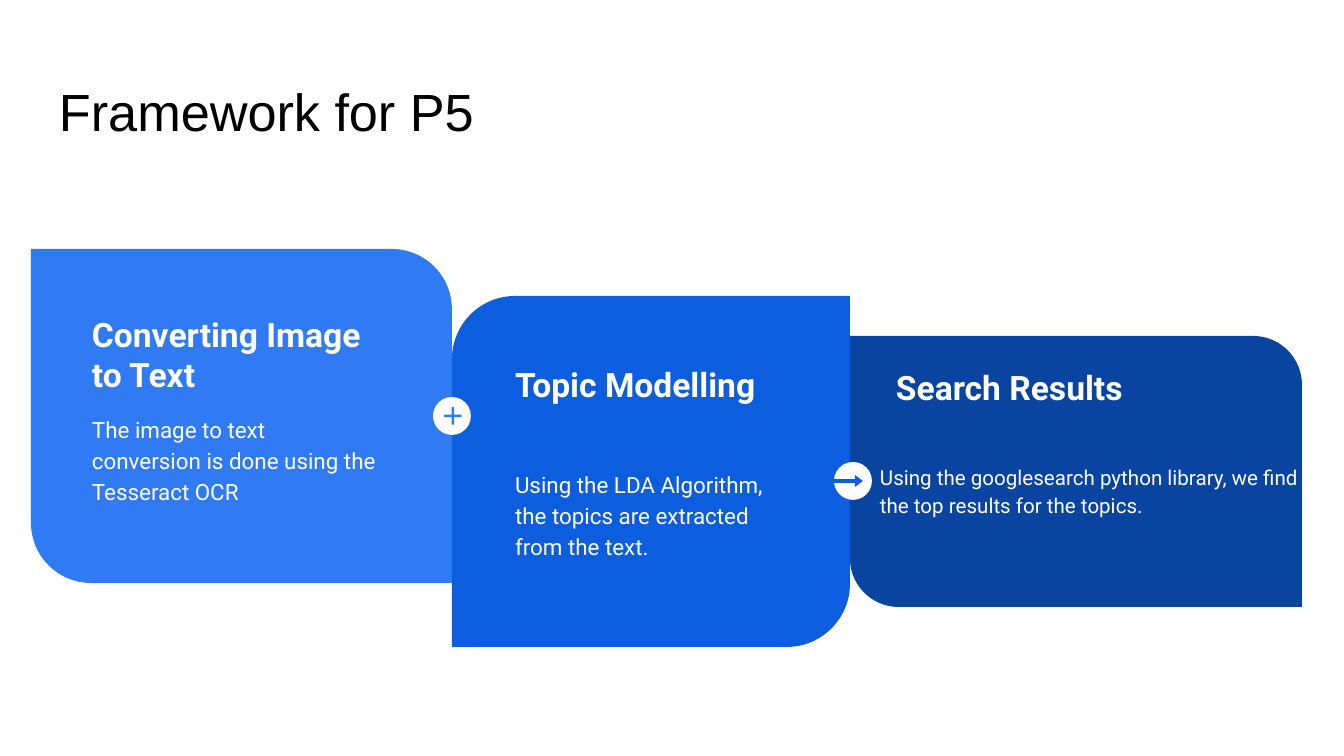
from pptx import Presentation
from pptx.dml.color import RGBColor
from pptx.enum.shapes import MSO_SHAPE
from pptx.util import Pt

CARD = MSO_SHAPE.ROUND_2_DIAG_RECTANGLE
CIRCLE = MSO_SHAPE.OVAL
PLUS = MSO_SHAPE.MATH_PLUS
ARROW = MSO_SHAPE.RIGHT_ARROW
PX = 914400 / 134.4
WHITE = "FFFFFF"
LIGHT_BLUE = "307BF3"
MID_BLUE = "0D5DDF"
DARK_BLUE = "0944A1"

deck = Presentation()
deck.slide_width, deck.slide_height = round(1344 * PX), round(756 * PX)
slide = deck.slides.add_slide(deck.slide_layouts[6])


def add_filled(kind, box, color, adjustments=()):
    shape = slide.shapes.add_shape(kind, *[round(v * PX) for v in box])
    shape.shadow.inherit = False
    shape.fill.solid()
    shape.fill.fore_color.rgb = RGBColor.from_string(color)
    shape.line.fill.background()
    for index, value in enumerate(adjustments):
        shape.adjustments[index] = value


def add_text(text, box, size, color=WHITE, font="Roboto", bold=False, spacing=1.0, after=0):
    frame = slide.shapes.add_textbox(*[round(v * PX) for v in box]).text_frame
    frame.word_wrap = True
    frame.margin_left = frame.margin_right = round(13 * PX)
    frame.margin_top = frame.margin_bottom = round(13 * PX)
    paragraph = frame.paragraphs[0]
    paragraph.line_spacing = spacing
    paragraph.space_after = Pt(after)
    run = paragraph.add_run()
    run.text = text
    run.font.name = font
    run.font.size = Pt(size)
    run.font.bold = bold
    run.font.color.rgb = RGBColor.from_string(color)


add_text("Framework for P5", (46, 66, 1252, 84), 28, color="000000", font="Arial")

steps = [
    ((31, 249, 421, 334), LIGHT_BLUE, (0, 0.18),
     "Converting Image to Text", (79, 301, 314, 98),
     "The image to text conversion is done using the Tesseract OCR", (79, 399, 314, 109), 12),
    ((452, 296, 398, 351), MID_BLUE, (0.18, 0),
     "Topic Modelling", (502, 351, 297, 103),
     "Using the LDA Algorithm, the topics are extracted from the text.", (502, 454, 297, 114), 12),
    ((850, 336, 452, 271), DARK_BLUE, (0, 0.18),
     "Search Results", (883, 354, 452, 94),
     "Using the googlesearch python library, we find the top results for the topics.",
     (867, 448, 452, 103), 11),
]
for card, color, corners, heading, heading_box, detail, detail_box, detail_size in steps:
    add_filled(CARD, card, color, corners)
    add_text(heading, heading_box, 18, bold=True)
    add_text(detail, detail_box, detail_size, spacing=1.15, after=16)

links = [
    ((834, 462, 38, 38), ARROW, (834, 475, 29, 12), MID_BLUE, (0.32, 0.67)),
    ((433, 397, 38, 38), PLUS, (441, 404, 24, 24), LIGHT_BLUE, (0.1,)),
]
for badge, sign, sign_box, color, proportions in links:
    add_filled(CIRCLE, badge, WHITE)
    add_filled(sign, sign_box, color, proportions)

deck.save("out.pptx")
